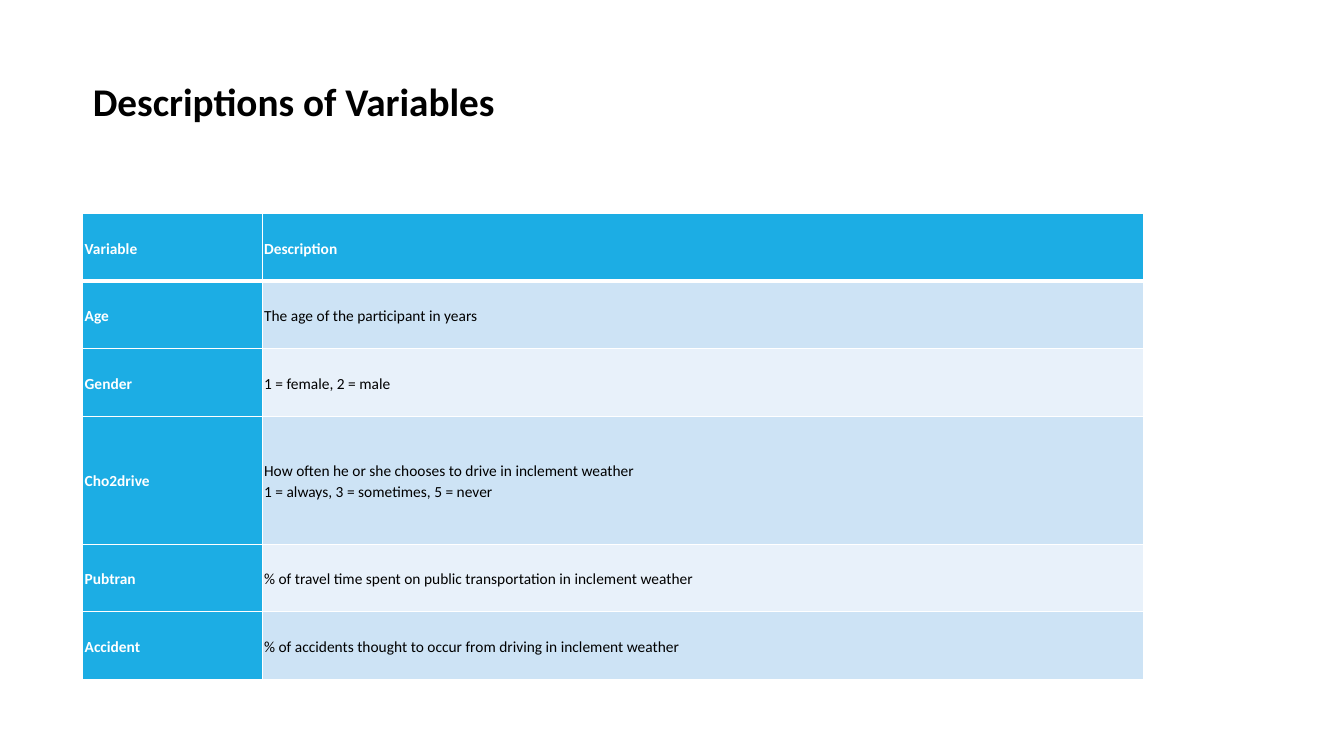
from lxml import etree
from pptx import Presentation
from pptx.dml.color import RGBColor
from pptx.enum.text import MSO_ANCHOR, PP_ALIGN
from pptx.oxml.ns import qn
from pptx.util import Inches, Pt

MIDDLE, TOP, LEFT = MSO_ANCHOR.MIDDLE, MSO_ANCHOR.TOP, PP_ALIGN.LEFT
TITLE_ONLY = 5

TITLE = "Descriptions of Variables"
VARIABLES = [
    ("Variable", ["Description"]),
    ("Age", ["The age of the participant in years"]),
    ("Gender", ["1 = female, 2 = male"]),
    ("Cho2drive", ["How often he or she chooses to drive in inclement weather",
                   "1 = always, 3 = sometimes, 5 = never"]),
    ("Pubtran", ["% of travel time spent on public transportation in inclement weather"]),
    ("Accident", ["% of accidents thought to occur from driving in inclement weather"]),
]
BLUE, BAND_DARK, BAND_LIGHT = "1CADE4", "CDE3F5", "E8F1FA"
WHITE, BLACK = "FFFFFF", "000000"

TITLE_BOX = (0.82, 0.72, 8.16, 0.88)
TABLE_LEFT, TABLE_TOP = 0.82, 2.12
COLUMN_WIDTHS = (1.78, 8.74)
ROW_HEIGHT, TALL_ROW_HEIGHT = 0.67, 1.27
CELL_FORMAT = {
    "vertical_anchor": MIDDLE,
    **{f"margin_{side}": Inches(0.02) for side in ("left", "right", "top", "bottom")},
}
TITLE_FONT = {"name": "Calibri", "size": Pt(28), "bold": True}
CELL_FONT = {"name": "Calibri", "size": Pt(11)}


def set_all(target, values):
    """Set every attribute in a dict of format values."""
    for name, value in values.items():
        setattr(target, name, value)


def paint(color_format, hex_color):
    """Give a colour format a hex colour."""
    color_format.rgb = RGBColor.from_string(hex_color)


def write(para, text, font, hex_color):
    """Add one formatted run to a paragraph."""
    span = para.add_run()
    span.text = text
    set_all(span.font, font)
    paint(span.font.color, hex_color)


def add_borders(cell, widths):
    """Add white borders, given in points for each side."""
    properties = cell._tc.get_or_add_tcPr()
    for side, width in widths.items():
        line = etree.SubElement(properties, qn(f"a:ln{side}"), w=str(Pt(width)))
        fill = etree.SubElement(line, qn("a:solidFill"))
        etree.SubElement(fill, qn("a:srgbClr"), val=WHITE)


def fill_cell(cell, lines, row, column):
    """Write and style a table cell by its place in the grid."""
    is_header = row == 0 or column == 0
    add_borders(cell, {"L": 1, "R": 1, "T": 3 if row == 1 else 1, "B": 3 if row == 0 else 1})
    band = BAND_DARK if row % 2 else BAND_LIGHT
    cell.fill.solid()
    paint(cell.fill.fore_color, BLUE if is_header else band)
    set_all(cell, CELL_FORMAT)
    frame = cell.text_frame
    for index, line in enumerate(lines):
        para = frame.add_paragraph() if index else frame.paragraphs[0]
        para.line_spacing = 1.15
        write(para, line, {**CELL_FONT, "bold": is_header}, WHITE if is_header else BLACK)


def add_title(slide):
    """Place and format the title placeholder."""
    title = slide.shapes.title
    set_all(title, dict(zip(("left", "top", "width", "height"), map(Inches, TITLE_BOX))))
    set_all(title.text_frame, {"vertical_anchor": TOP, "word_wrap": True})
    para = title.text_frame.paragraphs[0]
    para.alignment = LEFT
    write(para, TITLE, TITLE_FONT, BLACK)


def add_variable_table(slide):
    """Build the table of variables and their descriptions."""
    heights = [TALL_ROW_HEIGHT if len(lines) > 1 else ROW_HEIGHT for _, lines in VARIABLES]
    size = (sum(COLUMN_WIDTHS), sum(heights))
    table = slide.shapes.add_table(len(VARIABLES), len(COLUMN_WIDTHS),
                                   *map(Inches, (TABLE_LEFT, TABLE_TOP, *size))).table
    table.first_col = True
    for column, width in zip(table.columns, COLUMN_WIDTHS):
        column.width = Inches(width)
    for row, (name, lines) in enumerate(VARIABLES):
        table.rows[row].height = Inches(heights[row])
        for column, content in enumerate(([name], lines)):
            fill_cell(table.cell(row, column), content, row, column)


deck = Presentation()
set_all(deck, {"slide_width": Inches(13.33), "slide_height": Inches(7.5)})
page = deck.slides.add_slide(deck.slide_layouts[TITLE_ONLY])
add_variable_table(page)
add_title(page)
deck.save("out.pptx")
